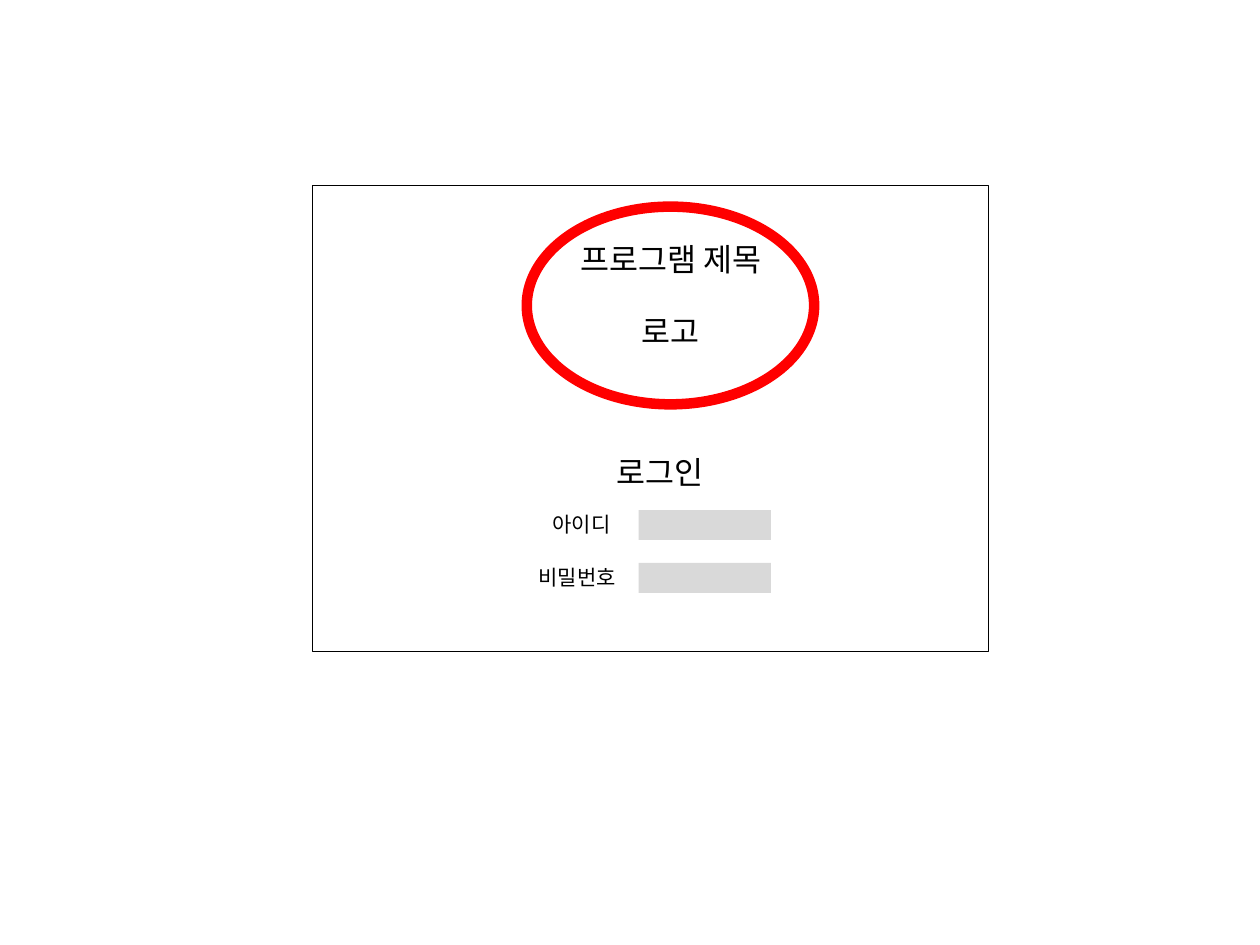
"""Build a wireframe slide of a login screen."""
from lxml.etree import SubElement
from pptx import Presentation
from pptx.dml.color import RGBColor
from pptx.enum.shapes import MSO_SHAPE as Shape
from pptx.enum.text import MSO_AUTO_SIZE as Fit, PP_ALIGN as Align
from pptx.oxml.ns import qn
from pptx.util import Pt

BLACK = RGBColor(0x00, 0x00, 0x00)
RED = RGBColor(0xFF, 0x00, 0x00)
GRAY = RGBColor(0xD9, 0xD9, 0xD9)
FACE = "Noto Sans CJK KR"


def add_form(kind, left, top, width, height, fill=None, line=None, weight=0):
    form = slide.shapes.add_shape(kind, Pt(left), Pt(top), Pt(width), Pt(height))
    form.shadow.inherit = False
    if fill:
        form.fill.solid()
        form.fill.fore_color.rgb = fill
    else:
        form.fill.background()
    if line:
        form.line.color.rgb = line
        form.line.width = Pt(weight)
    else:
        form.line.fill.background()


def add_label(text, left, top, width, height, size):
    box = slide.shapes.add_textbox(Pt(left), Pt(top), Pt(width), Pt(height))
    frame = box.text_frame
    frame.word_wrap = False
    frame.auto_size = Fit.SHAPE_TO_FIT_TEXT
    para = frame.paragraphs[0]
    para.alignment = Align.CENTER
    run = para.add_run()
    run.text = text
    for key, value in {"name": FACE, "size": Pt(size)}.items():
        setattr(run.font, key, value)
    run.font.color.rgb = BLACK
    SubElement(run.font._element, qn("a:ea"), typeface=FACE)


deck = Presentation()
deck.slide_width, deck.slide_height = Pt(720), Pt(540)
slide = deck.slides.add_slide(deck.slide_layouts[6])

fields = [("아이디", 306.7, 51.1), ("비밀번호", 298.1, 63.4)]
for row, (name, left, width) in enumerate(fields):
    top = 288.7 + row * 30.2
    add_label(name, left, top, width, 21.6, 12)
    add_form(Shape.RECTANGLE, 365, top + 2.8, 75.6, 17.1, fill=GRAY)

heads = [("로그인", 342.7, 255.6, 69.1), ("로고", 357.8, 175, 51.1)]
for name, left, top, width in heads:
    add_label(name, left, top, width, 28.8, 18)

add_form(Shape.OVAL, 301, 118.1, 164.2, 113, line=RED, weight=6)
add_form(Shape.RECTANGLE, 178.6, 105.8, 385.9, 266.4, line=BLACK, weight=0.25)
add_label("프로그램 제목", 318.2, 133.9, 130.3, 28.8, 18)

deck.save("out.pptx")
